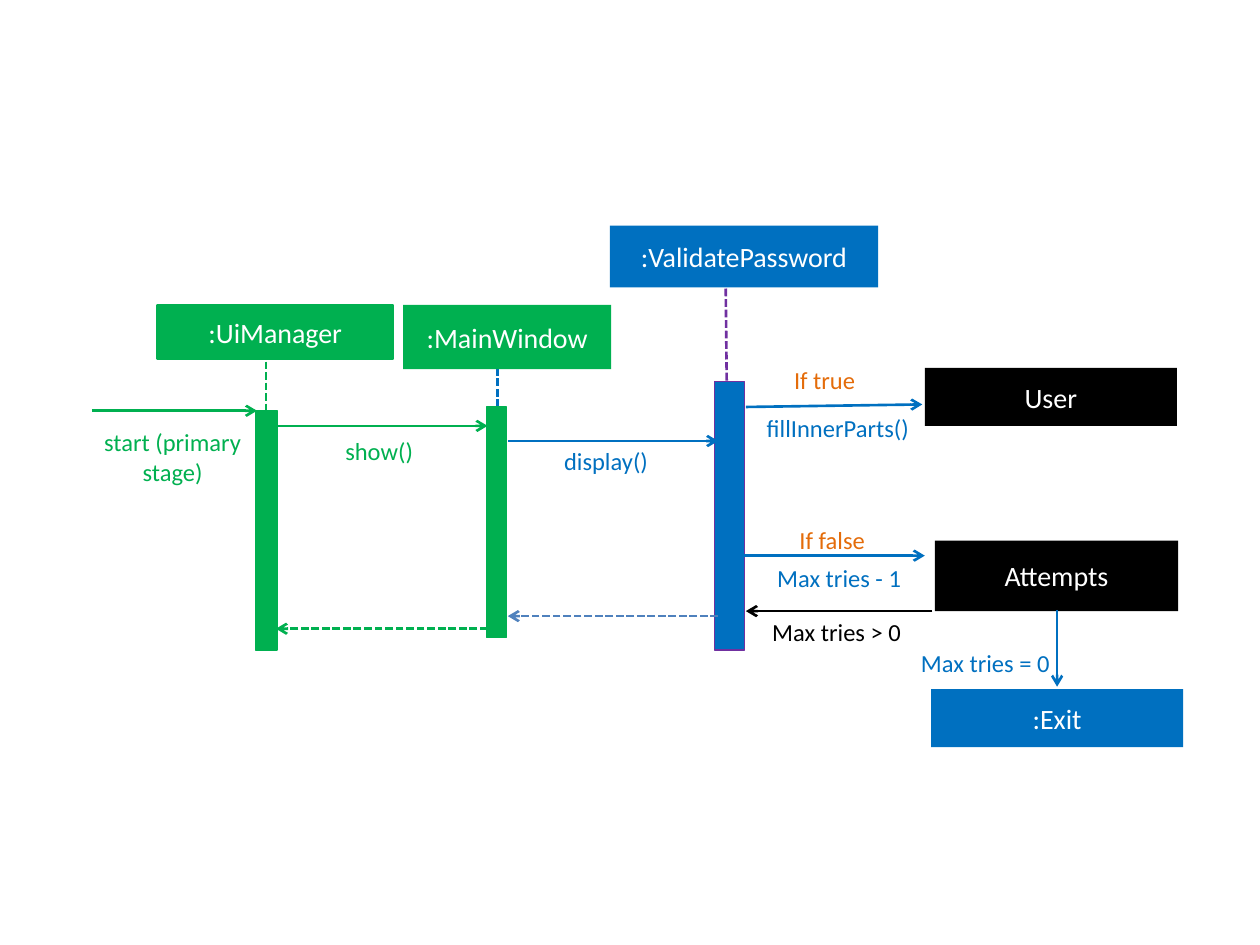
from dataclasses import dataclass
from typing import Any, Optional

from lxml.etree import SubElement
from pptx import Presentation
from pptx.dml.color import RGBColor
from pptx.enum.dml import MSO_LINE
from pptx.enum.shapes import MSO_CONNECTOR, MSO_SHAPE
from pptx.enum.text import MSO_ANCHOR, MSO_AUTO_SIZE, PP_ALIGN
from pptx.oxml.ns import qn
from pptx.util import Inches, Pt

GREEN = RGBColor(0x00, 0xB0, 0x50)
BLUE = RGBColor(0x00, 0x70, 0xC0)
STEEL = RGBColor(0x4F, 0x81, 0xBD)
PURPLE = RGBColor(0x70, 0x30, 0xA0)
ORANGE = RGBColor(0xE4, 0x6C, 0x0A)
BLACK = RGBColor(0, 0, 0)
WHITE = RGBColor(0xFF, 0xFF, 0xFF)

BOX_FRAME = {"word_wrap": True, "vertical_anchor": MSO_ANCHOR.MIDDLE}
LABEL_FRAME = {
    "word_wrap": True,
    "auto_size": MSO_AUTO_SIZE.SHAPE_TO_FIT_TEXT,
    "margin_left": 0,
    "margin_top": 0,
    "margin_right": 0,
    "margin_bottom": 0,
}


@dataclass
class Box:
    """A filled block: an object head, or an activation bar without text."""
    text: str
    left: float
    top: float
    width: float
    height: float
    fill: RGBColor
    edge: Optional[RGBColor] = None
    weight: float = 0.75


@dataclass
class Link:
    """A lifeline or a message between two points."""
    x1: float
    y1: float
    x2: float
    y2: float
    color: RGBColor
    dashed: bool = False
    arrow: bool = True


@dataclass
class Label:
    """The wording beside a message."""
    text: str
    left: float
    top: float
    color: RGBColor
    width: float = 1.34
    height: float = 0.24


LIFELINES = [
    Link(2.11, 2.87, 2.11, 5.15, GREEN, True, False),
    Link(3.95, 2.92, 3.95, 4.94, BLUE, True, False),
    Link(5.76, 2.29, 5.79, 5.16, PURPLE, True, False),
]
BOXES = [
    Box(":UiManager", 1.25, 2.42, 1.87, 0.43, GREEN, GREEN, 1.5),
    Box(":MainWindow", 3.2, 2.42, 1.65, 0.51, GREEN),
    Box(":ValidatePassword", 4.84, 1.79, 2.13, 0.49, BLUE),
    Box("User", 7.34, 2.92, 2, 0.46, BLACK),
    Box("Attempts", 7.42, 4.29, 1.93, 0.56, BLACK),
    Box(":Exit", 7.39, 5.47, 2, 0.46, BLUE),
    Box("", 2.03, 3.26, 0.17, 1.9, GREEN, GREEN),
    Box("", 3.86, 3.23, 0.16, 1.83, GREEN, GREEN),
    Box("", 5.67, 3.03, 0.24, 2.13, BLUE, PURPLE),
]
MESSAGES = [
    Link(0.73, 3.26, 2.04, 3.26, GREEN),
    Link(2.21, 3.38, 3.87, 3.38, GREEN),
    Link(4.03, 3.5, 5.7, 3.5, BLUE),
    Link(5.7, 4.89, 4.03, 4.89, STEEL, True),
    Link(3.87, 4.99, 2.19, 4.99, GREEN, True),
    Link(5.92, 3.23, 7.32, 3.21, BLUE),
    Link(5.84, 4.41, 7.34, 4.41, BLUE),
    Link(7.4, 4.85, 5.92, 4.85, BLACK),
    Link(8.39, 4.84, 8.39, 5.45, BLUE),
]
LABELS = [
    Label("start (primary stage)", 0.59, 3.39, GREEN, 1.56, 0.47),
    Label("show()", 2.23, 3.46, GREEN, 1.56),
    Label("display()", 4.14, 3.54, BLUE),
    Label("If true", 5.81, 2.9, ORANGE, 1.47),
    Label("fillInnerParts()", 5.98, 3.28, BLUE),
    Label("If false", 5.79, 4.17, ORANGE, 1.63),
    Label("Max tries - 1", 5.99, 4.47, BLUE),
    Label("Max tries > 0", 5.97, 4.9, BLACK),
    Label("Max tries = 0", 7.15, 5.14, BLUE),
]


def write(shape: Any, text: str, size: int, color: RGBColor, frame: dict) -> None:
    """Put one centred line of text in a shape."""
    for name, value in frame.items():
        setattr(shape.text_frame, name, value)
    par = shape.text_frame.paragraphs[0]
    par.alignment = PP_ALIGN.CENTER
    run = par.add_run()
    run.text = text
    for name, value in {"name": "Calibri", "size": Pt(size)}.items():
        setattr(run.font, name, value)
    run.font.color.rgb = color


def add_box(shapes: Any, box: Box) -> None:
    """Draw a head or an activation bar."""
    area = map(Inches, (box.left, box.top, box.width, box.height))
    shape = shapes.add_shape(MSO_SHAPE.RECTANGLE, *area)
    shape.shadow.inherit = False
    shape.fill.solid()
    shape.fill.fore_color.rgb = box.fill
    if box.edge is None:
        shape.line.fill.background()
    else:
        shape.line.color.rgb = box.edge
        shape.line.width = Pt(box.weight)
    if box.text:
        write(shape, box.text, 16, WHITE, BOX_FRAME)


def add_link(shapes: Any, link: Link) -> None:
    """Draw a lifeline or a message arrow."""
    ends = map(Inches, (link.x1, link.y1, link.x2, link.y2))
    shape = shapes.add_connector(MSO_CONNECTOR.STRAIGHT, *ends)
    shape.line.color.rgb = link.color
    shape.line.width = Pt(1.5)
    if link.dashed:
        shape.line.dash_style = MSO_LINE.SQUARE_DOT
    props = shape._element.spPr
    if link.arrow:
        SubElement(props.find(qn("a:ln")), qn("a:tailEnd"), type="arrow")
    SubElement(props, qn("a:effectLst"))


def add_label(shapes: Any, label: Label) -> None:
    """Write the wording of a message."""
    area = map(Inches, (label.left, label.top, label.width, label.height))
    write(shapes.add_textbox(*area), label.text, 14, label.color, LABEL_FRAME)


def main() -> None:
    """Build the sequence diagram and save it."""
    deck = Presentation()
    deck.slide_width, deck.slide_height = Inches(10), Inches(7.5)
    shapes = deck.slides.add_slide(deck.slide_layouts[6]).shapes
    layers = [
        (add_link, LIFELINES),
        (add_box, BOXES),
        (add_link, MESSAGES),
        (add_label, LABELS),
    ]
    for draw, items in layers:
        for item in items:
            draw(shapes, item)
    deck.save("out.pptx")


main()
